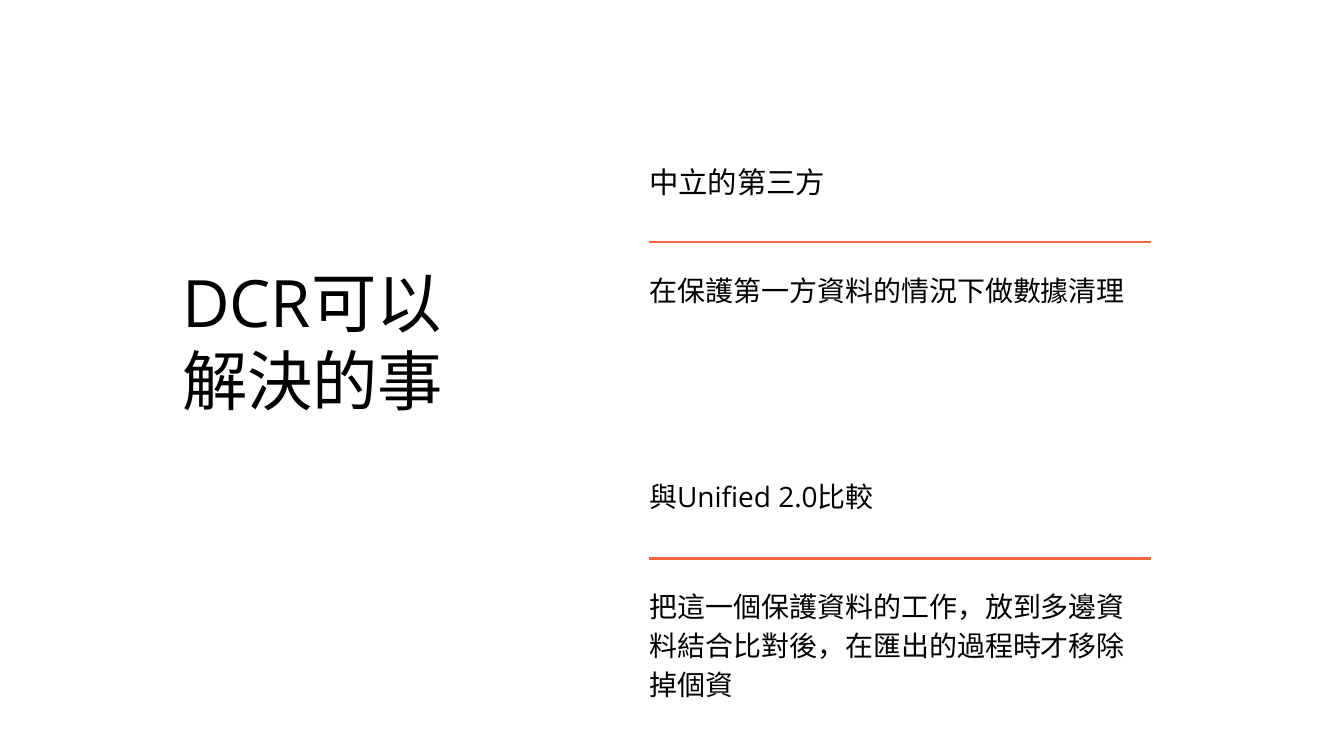
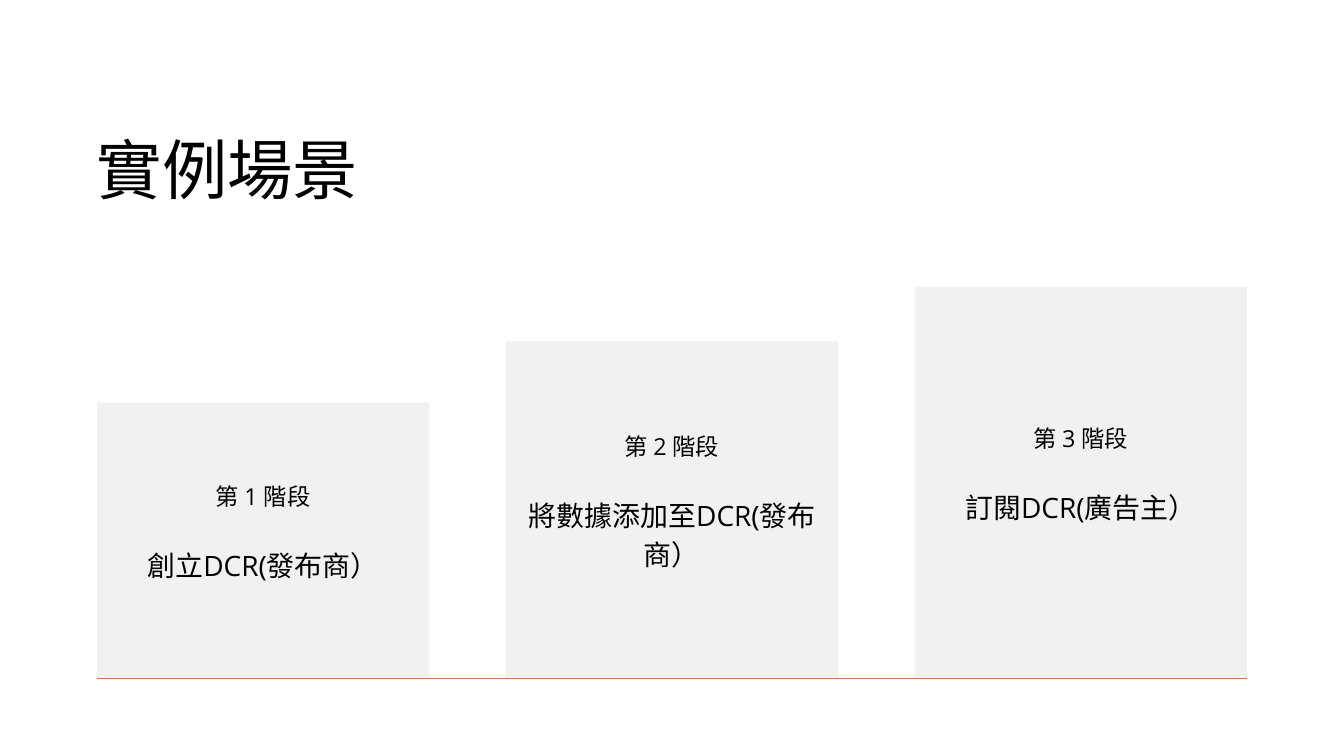
from dataclasses import dataclass

from lxml.etree import SubElement
from pptx import Presentation
from pptx.dml.color import RGBColor
from pptx.enum.shapes import MSO_CONNECTOR as Conn, MSO_SHAPE as Shape
from pptx.enum.text import MSO_ANCHOR as Anchor, MSO_AUTO_SIZE as Fit, PP_ALIGN as Align
from pptx.oxml.ns import qn
from pptx.slide import Slide
from pptx.util import Inches, Pt

FONT = "Open Sans"
COLORS = {"text": "000000", "rule": "FA643F", "panel": "F1F1F1", "page": "FFFFFF"}


@dataclass
class Box:
    left: float
    top: float
    width: float
    height: float

    def emu(self) -> list:
        return [Inches(v) for v in (self.left, self.top, self.width, self.height)]


@dataclass
class Line:
    text: str
    size: float
    pitch: float
    before: float = 0


@dataclass
class Topic:
    top: float
    head: Line
    body: Line
    height: float


@dataclass
class Stage:
    top: float
    label: str
    task: str


TOPICS = [
    Topic(2.35, Line("中立的第三方", 31.5, 44.1),
          Line("在保護第一方資料的情況下做數據清理", 30, 42), 1.05),
    Topic(7.06, Line("與Unified 2.0比較", 30, 42),
          Line("把這一個保護資料的工作，放到多邊資料結合比對後，在匯出的過程時才移除掉個資", 30, 42), 1.71),
]
STAGES = [
    Stage(5.99, "第 1 階段", "創立DCR(發布商）"),
    Stage(5.08, "第 2 階段", "將數據添加至DCR(發布商）"),
    Stage(4.27, "第 3 階段", "訂閱DCR(廣告主）"),
]


def color(name: str) -> RGBColor:
    return RGBColor.from_string(COLORS[name])


def write(frame, lines: list[Line], align=Align.LEFT, anchor=Anchor.TOP, inset: float = 0) -> None:
    frame.word_wrap = True
    frame.auto_size = Fit.NONE
    frame.vertical_anchor = anchor
    frame.margin_left = frame.margin_right = Inches(inset)
    frame.margin_top = frame.margin_bottom = Inches(inset)
    for i, line in enumerate(lines):
        para = frame.add_paragraph() if i else frame.paragraphs[0]
        para.text = line.text
        para.alignment = align
        para.line_spacing = Pt(line.pitch)
        para.space_before = Pt(line.before)
        para.font.name = FONT
        para.font.size = Pt(line.size)
        para.font.color.rgb = color("text")


def add_text(slide: Slide, box: Box, lines: list[Line], **style) -> None:
    write(slide.shapes.add_textbox(*box.emu()).text_frame, lines, **style)


def add_rule(slide: Slide, left: float, right: float, y: float, weight: float) -> None:
    rule = slide.shapes.add_connector(
        Conn.STRAIGHT, Inches(left), Inches(y), Inches(right), Inches(y))
    rule.line.color.rgb = color("rule")
    rule.line.width = Pt(weight)
    SubElement(rule._element.spPr, qn("a:effectLst"))


def add_slide(deck, text: str, box: Box) -> Slide:
    slide = deck.slides.add_slide(deck.slide_layouts[5])
    slide.background.fill.solid()
    slide.background.fill.fore_color.rgb = color("page")
    title = slide.shapes.title
    title.left, title.top, title.width, title.height = box.emu()
    write(title.text_frame, [Line(text, 70, 84)])
    return slide


def add_topic(slide: Slide, topic: Topic) -> None:
    left, width = 9.66, 7.47
    add_text(slide, Box(left, topic.top, width, 0.56), [topic.head])
    add_rule(slide, left, left + width, topic.top + 1.25, 2.34)
    add_text(slide, Box(left, topic.top + 1.63, width, topic.height), [topic.body])


def add_stage(slide: Slide, stage: Stage, left: float, width: float, base: float) -> None:
    lift = 0.34
    panel = slide.shapes.add_shape(
        Shape.RECTANGLE, *Box(left, stage.top, width, base - stage.top).emu())
    panel.shadow.inherit = False
    panel.fill.solid()
    panel.fill.fore_color.rgb = color("panel")
    panel.line.fill.background()
    add_text(slide, Box(left, stage.top - lift, width, base - stage.top + lift),
             [Line(stage.label, 25, 35), Line(stage.task, 30, 42, before=35)],
             align=Align.CENTER, anchor=Anchor.MIDDLE, inset=0.06)


def main() -> None:
    deck = Presentation()
    deck.slide_width, deck.slide_height = Inches(20), Inches(11.25)

    uses = add_slide(deck, "DCR可以解決的事", Box(2.71, 3.9, 4.61, 3.46))
    for topic in TOPICS:
        add_topic(uses, topic)

    left, right, width, base = 1.44, 18.56, 4.95, 10.11
    step = (right - left - width) / (len(STAGES) - 1)
    case = add_slide(deck, "實例場景", Box(left, 1.92, 8.85, 1.15))
    for i, stage in enumerate(STAGES):
        add_stage(case, stage, left + i * step, width, base)
    add_rule(case, left, right, 10.1, 1.5)

    deck.save("out.pptx")


if __name__ == "__main__":
    main()
